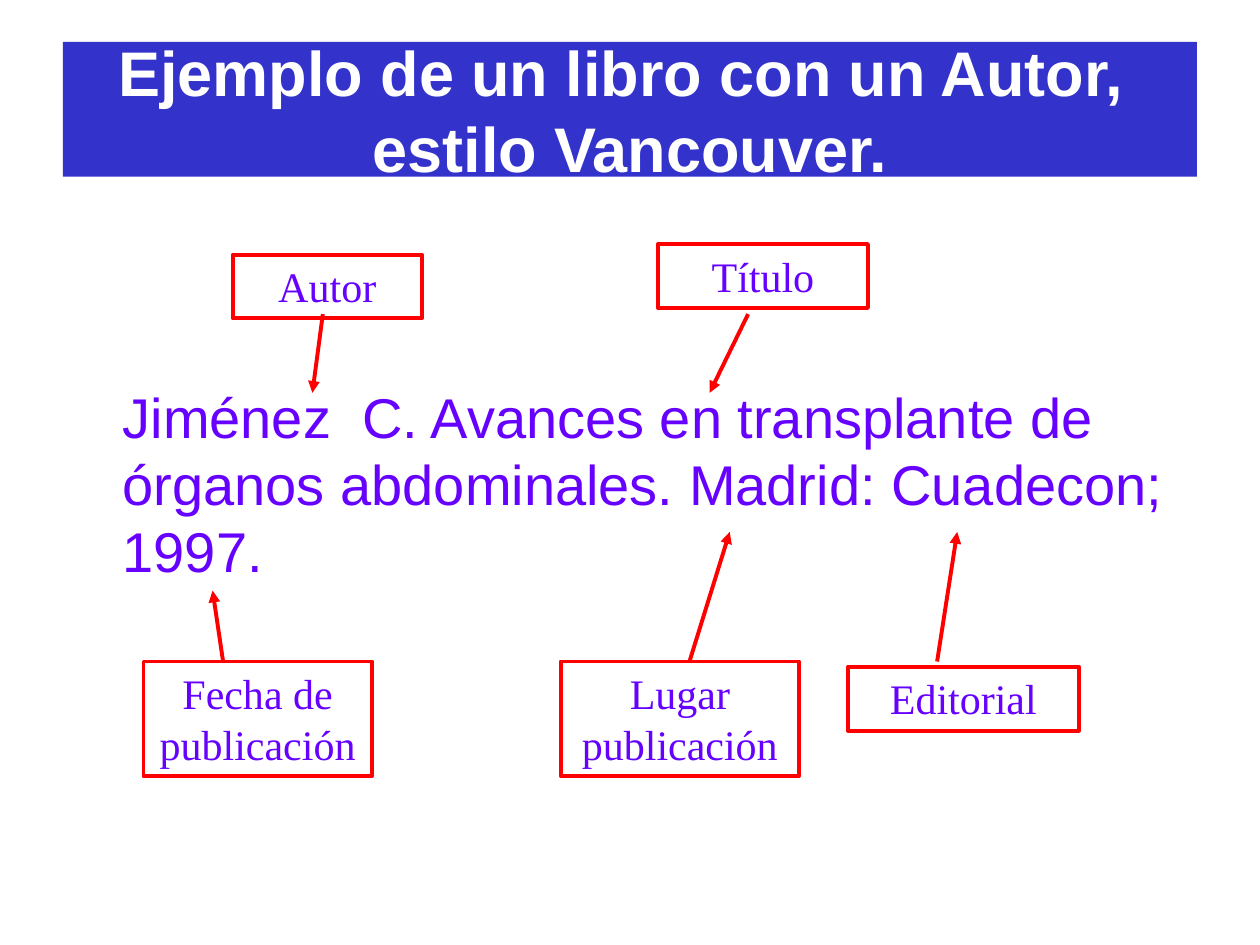
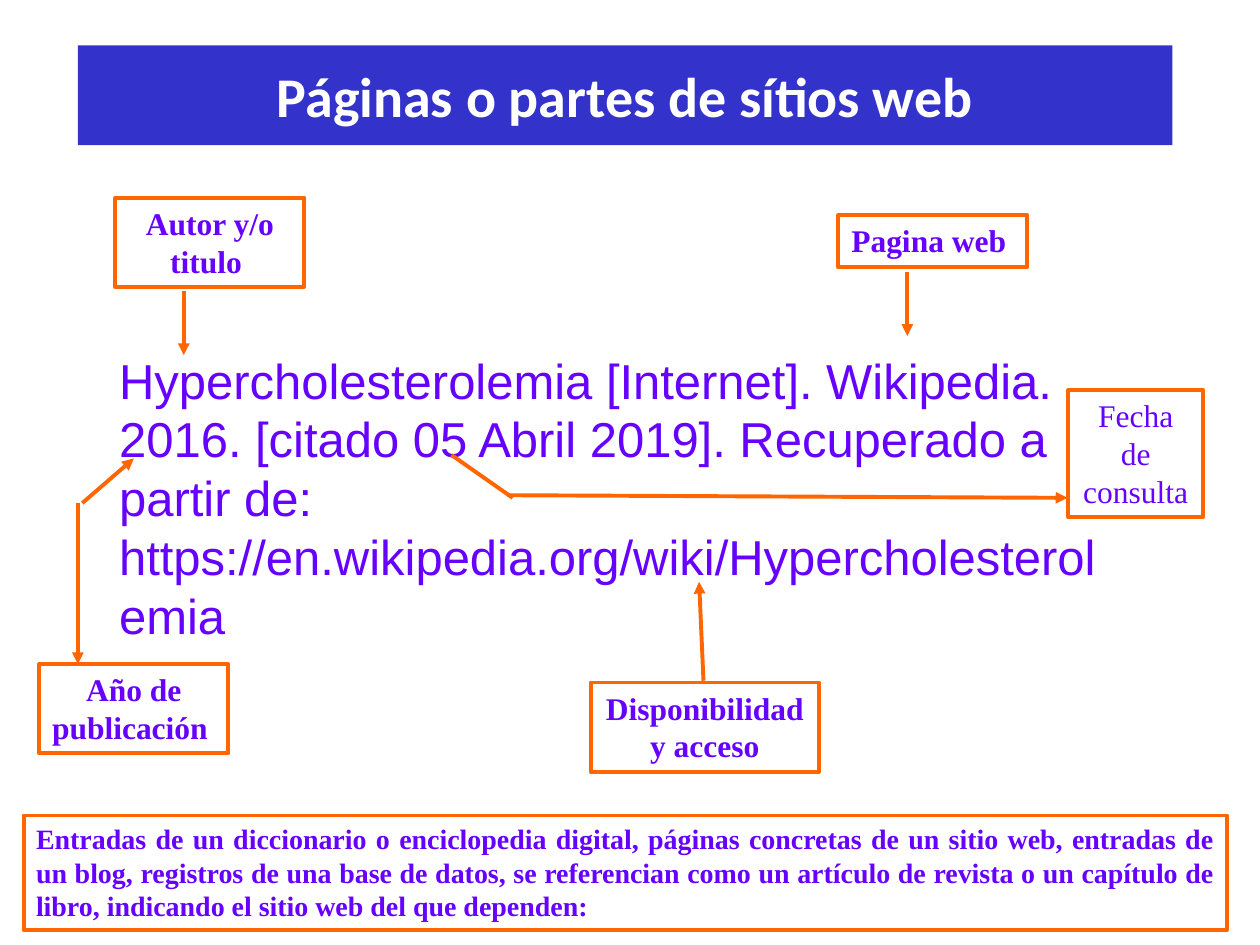
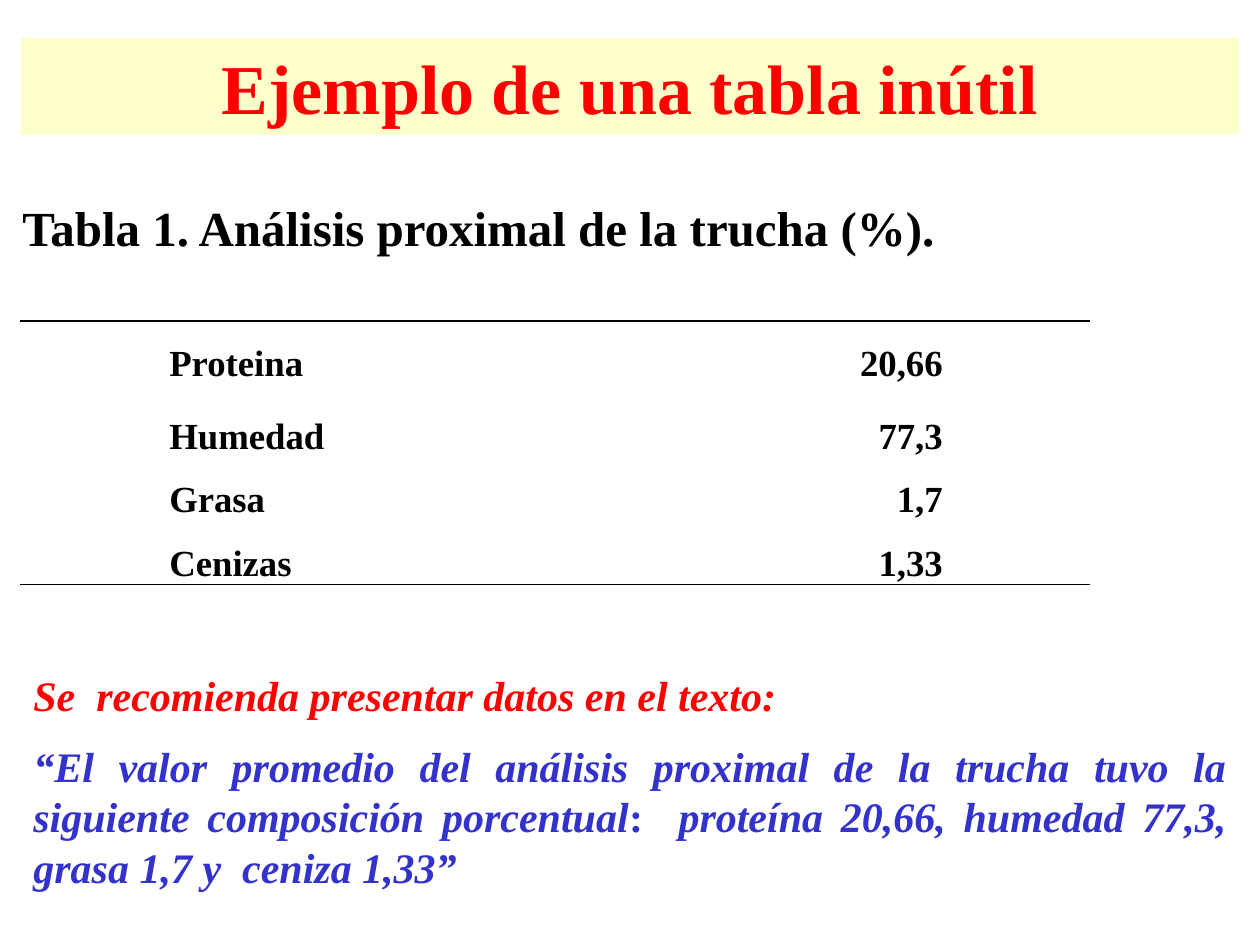
from dataclasses import dataclass

from lxml.etree import SubElement
from pptx import Presentation
from pptx.dml.color import RGBColor
from pptx.enum.shapes import MSO_CONNECTOR, MSO_SHAPE
from pptx.enum.text import MSO_ANCHOR, MSO_AUTO_SIZE, PP_ALIGN
from pptx.oxml import parse_xml
from pptx.oxml.ns import nsdecls, qn
from pptx.util import Pt


@dataclass(frozen=True)
class Theme:
    blue: str = "3333CC"
    violet: str = "6600FF"
    red: str = "FF0000"
    orange: str = "FF6600"
    cream: str = "FFFFCC"
    white: str = "FFFFFF"
    black: str = "000000"
    sans: str = "Arial"
    serif: str = "Times New Roman"
    title: int = 36
    head: int = 32
    banner: int = 40
    quote: int = 32
    link: int = 28
    label: int = 24
    tag: int = 18
    note: int = 16
    cell: int = 21
    rule: float = 2.25


T = Theme()


def fmt(name, size, color, bold=False, italic=False):
    return {"name": name, "size": Pt(size), "color": color,
            "bold": bold, "italic": italic}


def style(font, look):
    for key, value in look.items():
        if key == "color":
            font.color.rgb = RGBColor.from_string(value)
        else:
            setattr(font, key, value)


def write(para, runs, align=PP_ALIGN.LEFT):
    """Fill a paragraph with (text, look) runs."""
    para.alignment = align
    for text, look in runs:
        run = para.add_run()
        run.text = text
        style(run.font, look)


def box(slide, area, fill=None, line=None, grow=True, anchor=MSO_ANCHOR.TOP):
    """Rectangle ready for text; returns its text frame."""
    shape = slide.shapes.add_shape(MSO_SHAPE.RECTANGLE, *map(Pt, area))
    shape.shadow.inherit = False
    if fill:
        shape.fill.solid()
        shape.fill.fore_color.rgb = RGBColor.from_string(fill)
    else:
        shape.fill.background()
    if line:
        shape.line.color.rgb = RGBColor.from_string(line)
        shape.line.width = Pt(T.rule)
    else:
        shape.line.fill.background()
    frame = shape.text_frame
    frame.word_wrap = True
    frame.vertical_anchor = anchor
    frame.auto_size = MSO_AUTO_SIZE.SHAPE_TO_FIT_TEXT if grow else MSO_AUTO_SIZE.NONE
    return frame


def band(slide, text, area, look, fill=T.blue):
    frame = box(slide, area, fill, grow=False, anchor=MSO_ANCHOR.MIDDLE)
    write(frame.paragraphs[0], [(text, look)], PP_ALIGN.CENTER)


def label(slide, text, area, line, look, align=PP_ALIGN.CENTER):
    frame = box(slide, area, line=line)
    write(frame.paragraphs[0], [(text, look)], align)


def prose(slide, text, area, size):
    frame = slide.shapes.add_textbox(*map(Pt, area)).text_frame
    frame.word_wrap = True
    write(frame.paragraphs[0], [(text, fmt(T.sans, size, T.violet))])


def arrow(slide, ends, color, tip=True):
    link = slide.shapes.add_connector(MSO_CONNECTOR.STRAIGHT, *map(Pt, ends))
    link.line.color.rgb = RGBColor.from_string(color)
    link.line.width = Pt(T.rule)
    if tip:
        SubElement(link.line._get_or_add_ln(), qn("a:tailEnd"), type="triangle")
    SubElement(link._element.spPr, qn("a:effectLst"))


def edge(cell, side):
    """Thin black border on one side ("T" or "B") of a cell."""
    cell._tc.get_or_add_tcPr().insert(0, parse_xml(
        f'<a:ln{side} {nsdecls("a")} w="{Pt(1)}"><a:solidFill>'
        f'<a:srgbClr val="{T.black}"/></a:solidFill></a:ln{side}>'))


def grid(slide, left, top, cols, rows):
    """Plain white table with the given column and row sizes."""
    table = slide.shapes.add_table(len(rows), len(cols), Pt(left), Pt(top),
                                   Pt(sum(cols)), Pt(sum(rows))).table
    table.first_row = table.horz_banding = False
    for col, width in zip(table.columns, cols):
        col.width = Pt(width)
    for row, height in zip(table.rows, rows):
        row.height = Pt(height)
    for cell in table.iter_cells():
        cell.fill.solid()
        cell.fill.fore_color.rgb = RGBColor.from_string(T.white)
        cell.vertical_anchor = MSO_ANCHOR.BOTTOM
        cell.margin_left = cell.margin_right = cell.margin_top = Pt(0.75)
        cell.margin_bottom = 0
    return table


def book(slide):
    band(slide, "Ejemplo de un libro con un Autor,  estilo Vancouver.",
         (36, 24, 648, 77), fmt(T.sans, T.title, T.white, True))
    prose(slide, "Jiménez  C. Avances en transplante de órganos abdominales. "
          "Madrid: Cuadecon; 1997.", (63, 215, 621, 124), T.quote)
    # Parts of the reference
    look = fmt(T.serif, T.label, T.violet)
    for text, area in (
        ("Autor", (133, 145.5, 108, 36.5)),
        ("Título", (376, 139.5, 120, 36.5)),
        ("Lugar publicación", (320.5, 378, 136, 65.5)),
        ("Editorial", (484.5, 381, 132, 36.5)),
        ("Fecha de publicación", (82, 378, 130.5, 65.5)),
    ):
        label(slide, text, area, T.red, look)
    for ends in ((184.5, 179.5, 178.5, 224.5), (427.5, 179.5, 405.5, 224.5),
                 (127.5, 378, 121.5, 337.5), (394, 378, 417, 304),
                 (535.5, 378, 547, 304)):
        arrow(slide, ends, T.red)


def web(slide):
    band(slide, "Páginas o partes de sítios web", (44.5, 26, 625.5, 57),
         fmt("Calibri", T.head, T.white, True))
    prose(slide, "Hypercholesterolemia [Internet]. Wikipedia. 2016. "
          "[citado 05 Abril 2019]. Recuperado a partir de: "
          "https://en.wikipedia.org/wiki/Hypercholesterolemia",
          (61, 196.5, 584, 177), T.link)
    # Parts of the reference
    for text, area, bold in (
        ("Autor y/o titulo ", (66, 113, 108, 51), True),
        ("Año de publicación ", (22.5, 379.5, 108, 51), True),
        ("Pagina web ", (479, 123, 108, 29.5), True),
        ("Fecha de consulta", (610.5, 223, 77, 72.5), False),
        ("Disponibilidad y acceso", (337.5, 390, 130.5, 51), True),
    ):
        label(slide, text, area, T.orange, fmt(T.serif, T.tag, T.violet, bold))
    for ends in ((105, 166.5, 105, 203), (44.5, 287.5, 44.5, 379.5),
                 (47, 287.5, 76.5, 262), (290, 283, 610, 284.5),
                 (518.5, 155.5, 518.5, 192), (402, 389, 399.5, 332.5)):
        arrow(slide, ends, T.orange)
    arrow(slide, (258, 260, 293, 284.5), T.orange, tip=False)
    # Advice at the foot
    label(slide, "Entradas de un diccionario o enciclopedia digital, páginas "
          "concretas de un sitio web, entradas de un blog, registros de una base "
          "de datos, se referencian como un artículo de revista o un capítulo de "
          "libro, indicando el sitio web del que dependen:",
          (13.5, 466, 687.5, 65.5), T.orange,
          fmt(T.serif, T.note, T.violet, True), PP_ALIGN.JUSTIFY)


def trout(slide):
    band(slide, "Ejemplo de una tabla inútil", (12, 21.5, 696, 55.5),
         fmt(T.serif, T.banner, T.red, True), T.cream)
    # Advice below the table
    frame = box(slide, (12, 384, 696, 124), T.white, anchor=MSO_ANCHOR.MIDDLE)
    write(frame.paragraphs[0], [("Se  recomienda presentar datos en el texto:",
                                 fmt(T.serif, T.label, T.red, True, True))])
    para = frame.add_paragraph()
    para.space_before = Pt(12)
    slant = fmt(T.serif, T.label, T.blue, True, True)
    write(para, [
        ("“El valor promedio del análisis proximal de la trucha tuvo la "
         "siguiente composición porcentual", slant),
        (":", {**slant, "italic": False}),
        ("  proteína 20,66, humedad 77,3, grasa 1,7 y  ceniza 1,33”", slant),
    ], PP_ALIGN.JUSTIFY)
    # Table: caption row, gap row, data rows, closing row
    table = grid(slide, 12, 111, (84, 240.5, 203, 84, 84),
                 (36, 36.5, 36, 42, 36, 36.5, 16.5))
    table.cell(0, 0).merge(table.cell(0, 4))
    write(table.cell(0, 0).text_frame.paragraphs[0],
          [("Tabla 1. Análisis proximal de la trucha (%).",
            fmt(T.serif, T.link, T.black, True))])
    look = fmt(T.serif, T.cell, T.black, True)
    data = (("Proteina", "20,66"), ("Humedad", "77,3"),
            ("Grasa", "1,7"), ("Cenizas", "1,33"))
    for row, (name, value) in enumerate(data, 2):
        write(table.cell(row, 1).text_frame.paragraphs[0], [(name, look)])
        write(table.cell(row, 2).text_frame.paragraphs[0], [(value, look)],
              PP_ALIGN.RIGHT)
    for row, side in ((1, "B"), (2, "T"), (5, "B"), (6, "T")):
        for col in range(4):
            edge(table.cell(row, col), side)


def main():
    deck = Presentation()
    deck.slide_width, deck.slide_height = Pt(720), Pt(540)
    for draw in (book, web, trout):
        draw(deck.slides.add_slide(deck.slide_layouts[6]))
    deck.save("out.pptx")


if __name__ == "__main__":
    main()
